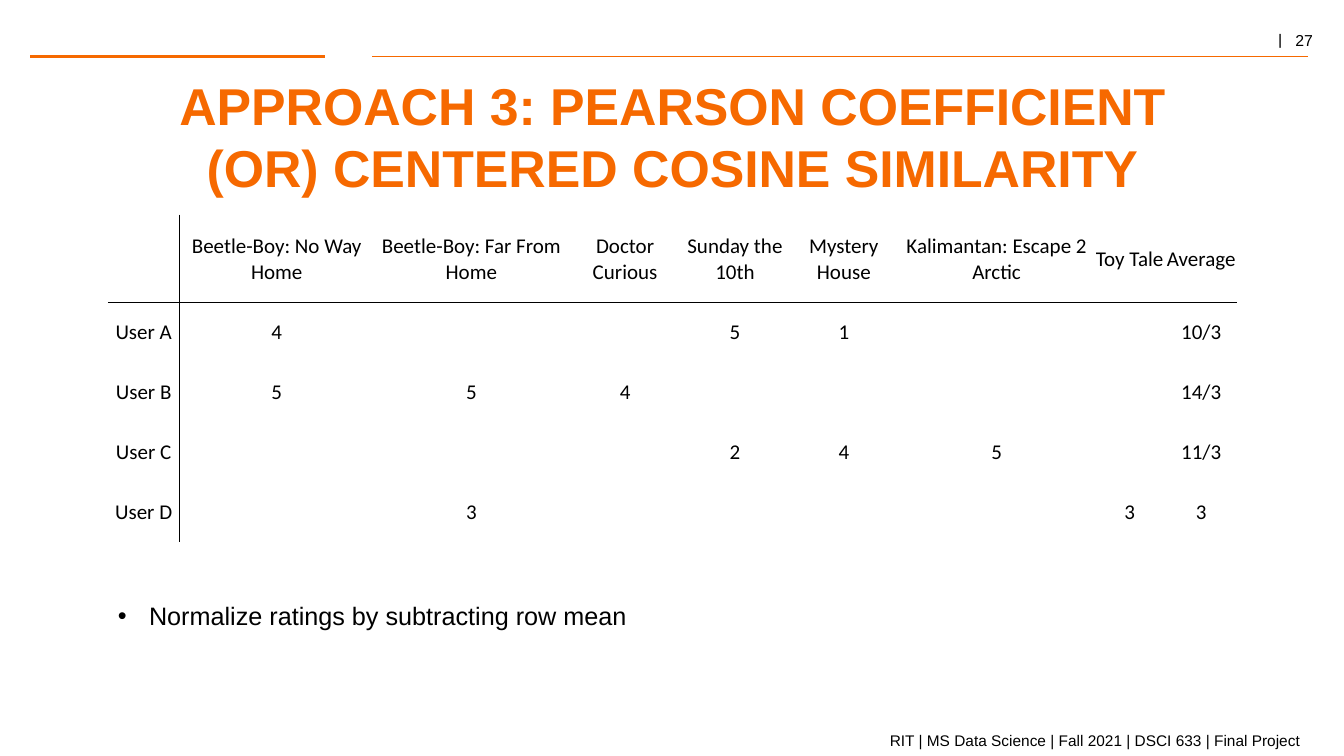
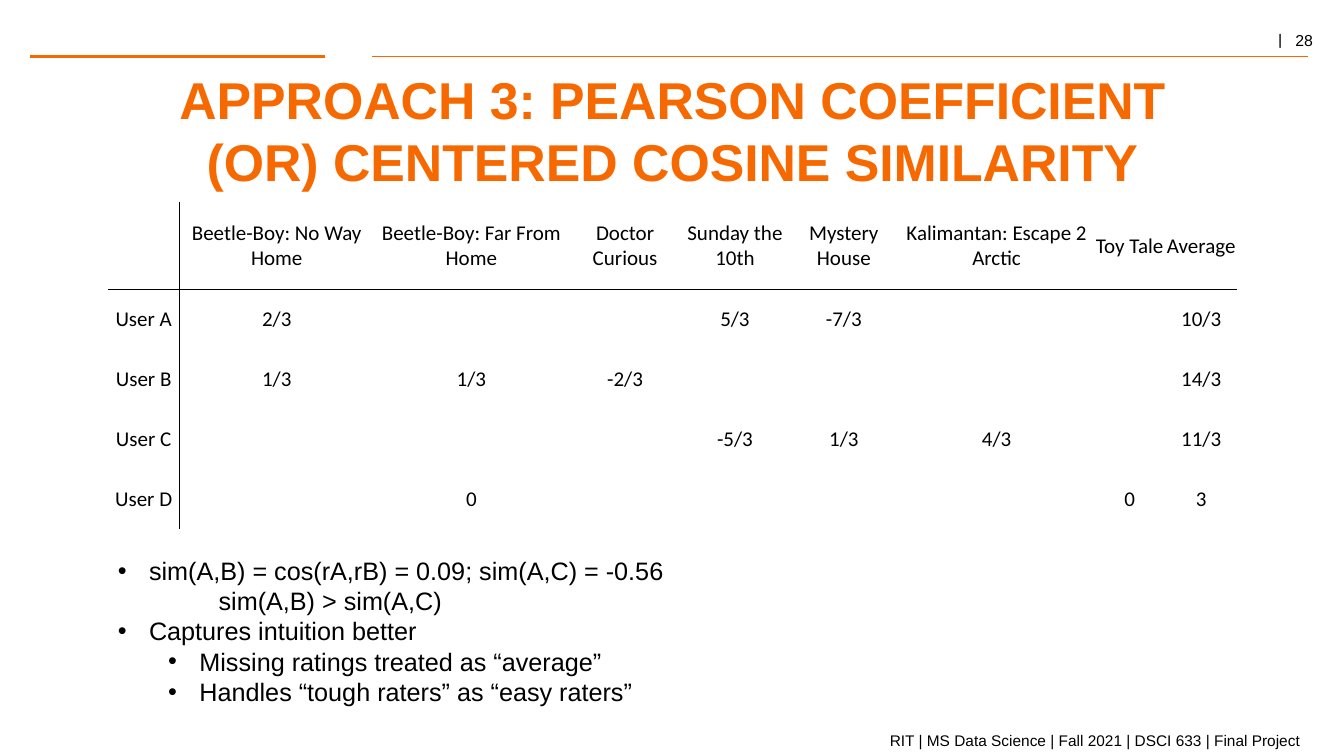
"""Build two slides on centered cosine similarity between user ratings."""
from lxml import etree
from pptx import Presentation
from pptx import util as u
from pptx.dml.color import RGBColor
from pptx.enum import shapes, text
from pptx.oxml import ns

COLORS = {"accent": "F66900", "ink": "000000"}
TITLE = "APPROACH 3: PEARSON COEFFICIENT (OR) CENTERED COSINE SIMILARITY"
FOOTER = "RIT | MS Data Science | Fall 2021 | DSCI 633 | Final Project"
HEADER = ["", "Beetle-Boy: No Way Home", "Beetle-Boy: Far From Home",
          "Doctor Curious", "Sunday the 10th", "Mystery House",
          "Kalimantan: Escape 2 Arctic", "Toy Tale", "Average"]
COLUMN_WIDTHS = [0.71, 1.93, 1.93, 1.12, 1.06, 1.1, 1.93, 0.71, 0.71]
ROW_HEIGHTS = [0.87] + [0.595] * 4
MARGIN, CONTENT_WIDTH = 1.07, 11.2
HANGING = 0.31

RATINGS = [
    ["User A", "4", "", "", "5", "1", "", "", "10/3"],
    ["User B", "5", "5", "4", "", "", "", "", "14/3"],
    ["User C", "", "", "", "2", "4", "5", "", "11/3"],
    ["User D", "", "3", "", "", "", "", "3", "3"],
]
CENTERED_RATINGS = [
    ["User A", "2/3", "", "", "5/3", "-7/3", "", "", "10/3"],
    ["User B", "1/3", "1/3", "-2/3", "", "", "", "", "14/3"],
    ["User C", "", "", "", "-5/3", "1/3", "4/3", "", "11/3"],
    ["User D", "", "0", "", "", "", "", "0", "3"],
]
RATING_POINTS = [("Normalize ratings by subtracting row mean", HANGING, True)]
SIMILARITY_POINTS = [
    ("sim(A,B) = cos(rA,rB) = 0.09; sim(A,C) = -0.56", HANGING, True),
    ("sim(A,B) > sim(A,C)", 1, False),
    ("Captures intuition better", HANGING, True),
    ("Missing ratings treated as “average”", HANGING + 0.5, True),
    ("Handles “tough raters” as “easy raters”", HANGING + 0.5, True),
]


class Deck:
    def __init__(self):
        self.presentation = Presentation()
        self.presentation.slide_width = u.Inches(13.33)
        self.presentation.slide_height = u.Inches(7.5)
        self.slide = None

    def add_slide(self, number, title_top):
        layout = self.presentation.slide_layouts[6]
        self.slide = self.presentation.slides.add_slide(layout)
        self.page_number(number)
        self.rule(0.3, 3.22, 2)
        self.rule(3.69, 12.97, 1)
        self.title(title_top)
        self.footer()

    def text_box(self, left, top, width, height, inset=(0.1, 0.05)):
        shape = self.slide.shapes.add_textbox(
            u.Inches(left), u.Inches(top), u.Inches(width), u.Inches(height))
        frame = shape.text_frame
        frame.word_wrap = True
        frame.margin_left = frame.margin_right = u.Inches(inset[0])
        frame.margin_top = frame.margin_bottom = u.Inches(inset[1])
        return frame

    def run(self, paragraph, words, size, font="Arial", color="ink", bold=False):
        run = paragraph.add_run()
        run.text = words
        run.font.size = u.Pt(size)
        run.font.name = font
        run.font.bold = bold
        run.font.color.rgb = RGBColor.from_string(COLORS[color])

    def page_number(self, number):
        paragraph = self.text_box(12.55, 0.28, 1.36, 0.26).paragraphs[0]
        paragraph.line_spacing = 0.8
        properties = paragraph._p.get_or_add_pPr()
        tabs = etree.SubElement(properties, ns.qn("a:tabLst"))
        etree.SubElement(tabs, ns.qn("a:tab"), pos=str(u.Inches(0.2)), algn="l")
        self.run(paragraph, "|\t", 12, "TeX Gyre Schola")
        self.run(paragraph, str(number), 11.3)

    def rule(self, start, end, weight):
        line = self.slide.shapes.add_connector(
            shapes.MSO_CONNECTOR.STRAIGHT, u.Inches(start), u.Inches(0.56),
            u.Inches(end), u.Inches(0.56))
        line.line.color.rgb = RGBColor.from_string(COLORS["accent"])
        line.line.width = u.Pt(weight)
        etree.SubElement(line._element.spPr, ns.qn("a:effectLst"))

    def title(self, top):
        frame = self.text_box(MARGIN, top, CONTENT_WIDTH, 0.66, (0.2, 0))
        paragraph = frame.paragraphs[0]
        paragraph.alignment = text.PP_ALIGN.CENTER
        self.run(paragraph, TITLE, 37, color="accent", bold=True)

    def footer(self):
        paragraph = self.text_box(0, 7.2, 13, 0.22).paragraphs[0]
        paragraph.alignment = text.PP_ALIGN.RIGHT
        self.run(paragraph, FOOTER, 11)

    def table(self, top, ratings):
        rows = [HEADER] + ratings
        table = self.slide.shapes.add_table(
            len(rows), len(HEADER), u.Inches(MARGIN), u.Inches(top),
            u.Inches(CONTENT_WIDTH), u.Inches(sum(ROW_HEIGHTS))).table
        table.first_row = table.horz_banding = False
        for column, width in zip(table.columns, COLUMN_WIDTHS):
            column.width = u.Inches(width)
        for row, height in zip(table.rows, ROW_HEIGHTS):
            row.height = u.Inches(height)
        for row_index, row in enumerate(rows):
            for column_index, words in enumerate(row):
                cell = table.cell(row_index, column_index)
                self.fill_cell(cell, words)
                self.cell_borders(cell, {
                    "lnL": column_index == 1, "lnR": column_index == 0,
                    "lnT": row_index == 1, "lnB": row_index == 0})

    def fill_cell(self, cell, words):
        cell.fill.background()
        cell.vertical_anchor = text.MSO_ANCHOR.MIDDLE
        cell.margin_left = cell.margin_right = cell.margin_top = u.Inches(0.01)
        cell.margin_bottom = 0
        paragraph = cell.text_frame.paragraphs[0]
        paragraph.alignment = text.PP_ALIGN.CENTER
        if words:
            self.run(paragraph, words, 15, "Calibri")

    def cell_borders(self, cell, sides):
        properties = cell._tc.get_or_add_tcPr()
        for position, (side, visible) in enumerate(sides.items()):
            border = etree.Element(ns.qn(f"a:{side}"), w=str(u.Pt(0.5)))
            properties.insert(position, border)
            if visible:
                fill = etree.SubElement(border, ns.qn("a:solidFill"))
                etree.SubElement(fill, ns.qn("a:srgbClr"), val=COLORS["ink"])
            else:
                etree.SubElement(border, ns.qn("a:noFill"))

    def bullet_list(self, top, height, items):
        frame = self.text_box(MARGIN, top, CONTENT_WIDTH, height)
        for index, (words, indent, bulleted) in enumerate(items):
            paragraph = frame.add_paragraph() if index else frame.paragraphs[0]
            properties = paragraph._p.get_or_add_pPr()
            properties.set("marL", str(u.Inches(indent)))
            if bulleted:
                properties.set("indent", str(-u.Inches(HANGING)))
                etree.SubElement(properties, ns.qn("a:buFont"), typeface="Arial")
                etree.SubElement(properties, ns.qn("a:buChar"), char="•")
            self.run(paragraph, words, 18)

    def save(self):
        self.presentation.save("out.pptx")


def main():
    deck = Deck()
    deck.add_slide(27, 0.73)
    deck.table(2.13, RATINGS)
    deck.bullet_list(5.91, 0.4, RATING_POINTS)
    deck.add_slide(28, 0.67)
    deck.table(2, CENTERED_RATINGS)
    deck.bullet_list(5.46, 1.62, SIMILARITY_POINTS)
    deck.save()


if __name__ == "__main__":
    main()
